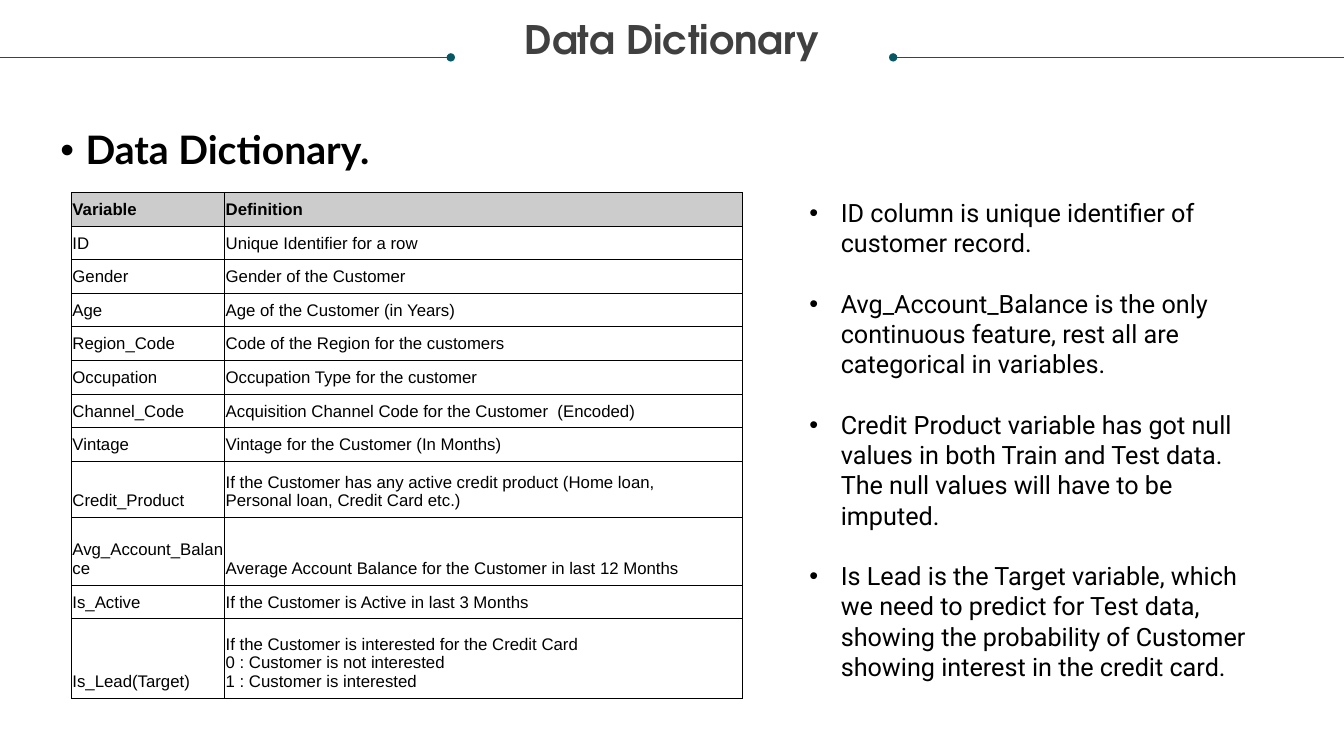
from lxml import etree
from pptx import Presentation
from pptx import util as u
from pptx.dml.color import RGBColor
from pptx.enum import shapes, text
from pptx.oxml import ns

Pt = u.Pt
COLORS = {"rule": "085764", "title": "404040", "ink": "000000",
          "header": "CCCCCC", "cell": "FFFFFF"}

ROWS = [
    ("Variable", "Definition", 24),
    ("ID", "Unique Identifier for a row", 24),
    ("Gender", "Gender of the Customer", 24),
    ("Age", "Age of the Customer (in Years)", 24),
    ("Region_Code", "Code of the Region for the customers", 24),
    ("Occupation", "Occupation Type for the customer", 24),
    ("Channel_Code", "Acquisition Channel Code for the Customer  (Encoded)", 24),
    ("Vintage", "Vintage for the Customer (In Months)", 24),
    ("Credit_Product", "If the Customer has any active credit product (Home loan,\n"
     "Personal loan, Credit Card etc.)", 40.3),
    ("Avg_Account_Balance",
     "Average Account Balance for the Customer in last 12 Months", 48.3),
    ("Is_Active", "If the Customer is Active in last 3 Months", 24),
    ("Is_Lead(Target)", "If the Customer is interested for the Credit Card\n"
     "0 : Customer is not interested\n1 : Customer is interested", 56.9),
]

NOTES = [
    "ID column is unique identifier of customer record.",
    "Avg_Account_Balance is the only continuous feature, rest all are "
    "categorical in variables.",
    "Credit Product variable has got null values in both Train and Test data. "
    "The null values will have to be imputed.",
    "Is Lead is the Target variable, which we need to predict for Test data, "
    "showing the probability of Customer showing interest in the credit card.",
]


def rgb(name):
    return RGBColor.from_string(COLORS[name])


def sub(parent, tag, **attrs):
    return etree.SubElement(parent, ns.qn(tag), **attrs)


class Deck:
    def __init__(self, width, height):
        self.prs = Presentation()
        self.prs.slide_width, self.prs.slide_height = Pt(width), Pt(height)
        self.s = self.prs.slides.add_slide(self.prs.slide_layouts[6])

    def font(self, p, name, size, color="ink", bold=False):
        p.font.name, p.font.size, p.font.bold = name, Pt(size), bold
        p.font.color.rgb = rgb(color)

    def bullet(self, p, indent):
        pPr = p._p.get_or_add_pPr()
        pPr.set("marL", str(Pt(indent)))
        pPr.set("indent", str(-Pt(indent)))
        sub(pPr, "a:buFont", typeface="Arial")
        sub(pPr, "a:buChar", char="•")

    def rule(self, x1, x2, y):
        c = self.s.shapes.add_connector(
            shapes.MSO_CONNECTOR.STRAIGHT, Pt(x1), Pt(y), Pt(x2), Pt(y))
        c.line.color.rgb = rgb("rule")
        c.line.width = Pt(0.5)
        sub(c.line._get_or_add_ln(), "a:tailEnd", type="oval")
        sub(c._element.spPr, "a:effectLst")

    def text(self, box, lines, name, size, color="ink", bold=False, margins=None,
             align=None, spacing=None, before=0, gap=0, indent=0):
        tf = self.s.shapes.add_textbox(*map(Pt, box)).text_frame
        tf.word_wrap = True
        if margins is not None:
            tf.margin_left = tf.margin_right = Pt(margins)
            tf.margin_top = tf.margin_bottom = Pt(margins)
        tf.text = "\n".join(lines)
        for i, p in enumerate(tf.paragraphs):
            p.alignment, p.line_spacing = align, spacing
            p.space_before = Pt(gap if i else before)
            if indent:
                self.bullet(p, indent)
            self.font(p, name, size, color, bold)

    def borders(self, cell):
        tcPr = cell._tc.get_or_add_tcPr()
        for side in "LRTB":
            ln = sub(tcPr, f"a:ln{side}", w=str(Pt(0.5)))
            sub(sub(ln, "a:solidFill"), "a:srgbClr", val=COLORS["ink"])

    def table(self, left, top, widths, rows):
        height = sum(row[-1] for row in rows)
        t = self.s.shapes.add_table(len(rows), len(widths), Pt(left), Pt(top),
                                    Pt(sum(widths)), Pt(height)).table
        t.horz_banding = False
        for col, width in zip(t.columns, widths):
            col.width = Pt(width)
        for r, (*values, row_height) in enumerate(rows):
            t.rows[r].height = Pt(row_height)
            for c, value in enumerate(values):
                cell = t.cell(r, c)
                cell.margin_left = cell.margin_right = cell.margin_top = Pt(0.75)
                cell.margin_bottom = Pt(5)
                cell.vertical_anchor = text.MSO_ANCHOR.BOTTOM
                self.borders(cell)
                cell.fill.solid()
                cell.fill.fore_color.rgb = rgb("cell" if r else "header")
                cell.text = value
                for p in cell.text_frame.paragraphs:
                    self.font(p, "Arial", 12, bold=r == 0)


def main():
    d = Deck(960, 540)
    d.rule(960, 638, 41)
    d.text((18, 15, 924, 30), ["Data Dictionary"], "TeX Gyre Adventor", 28,
           color="title", bold=True, margins=0,
           align=text.PP_ALIGN.CENTER, spacing=0.9)
    d.rule(0, 322, 41)
    d.text((36, 90, 896, 418), ["Data Dictionary."], "Lato", 28, bold=True,
           spacing=0.9, before=10, indent=18)
    d.table(51, 137.5, (109.5, 369.5), ROWS)
    d.text((571, 137.5, 338, 356), NOTES, "Roboto", 18, gap=21.6, indent=22.5)
    d.prs.save("out.pptx")


if __name__ == "__main__":
    main()
